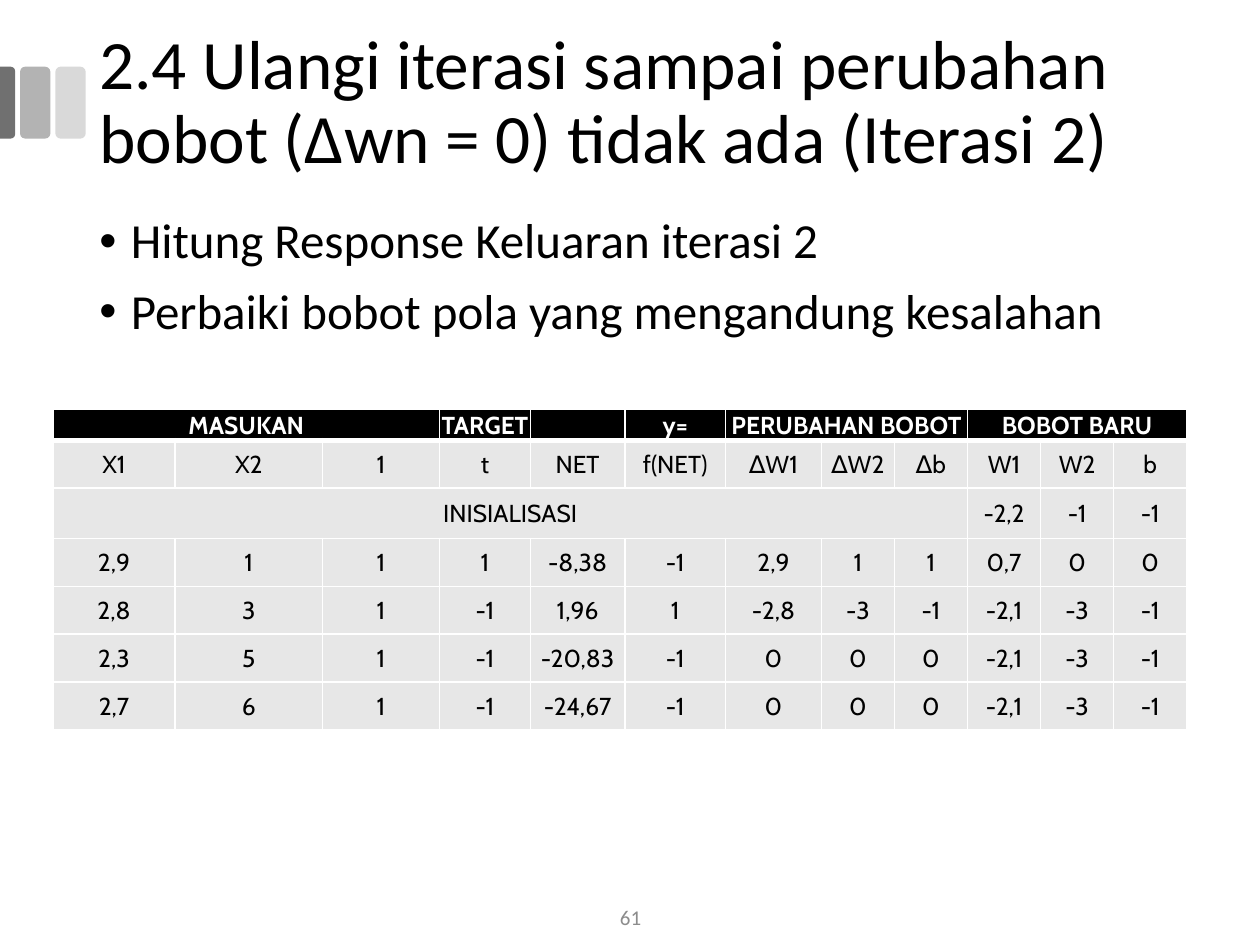
from lxml import etree
from pptx import Presentation
from pptx.dml.color import RGBColor
from pptx.enum import shapes, text
from pptx.oxml import ns
from pptx.util import Inches, Pt

BLACK, WHITE, CELL_GREY = "000000", "FFFFFF", "E7E7E7"
COLUMN_WIDTHS = [0.97, 1.17, 0.93, 0.72, 0.75, 0.8, 0.76] + [0.58] * 5
ROW_HEIGHTS = [0.24, 0.38, 0.4] + [0.38] * 4
ITERATION_ROWS = [
    ["MASUKAN", "", "", "TARGET", "", "y=", "PERUBAHAN BOBOT", "", "", "BOBOT BARU", "", ""],
    ["X1", "X2", "1", "t", "NET", "f(NET)", "∆W1", "∆W2", "∆b", "W1", "W2", "b"],
    ["INISIALISASI"] + [""] * 8 + ["-2,2", "-1", "-1"],
    ["2,9", "1", "1", "1", "-8,38", "-1", "2,9", "1", "1", "0,7", "0", "0"],
    ["2,8", "3", "1", "-1", "1,96", "1", "-2,8", "-3", "-1", "-2,1", "-3", "-1"],
    ["2,3", "5", "1", "-1", "-20,83", "-1", "0", "0", "0", "-2,1", "-3", "-1"],
    ["2,7", "6", "1", "-1", "-24,67", "-1", "0", "0", "0", "-2,1", "-3", "-1"],
]
# Row, first column, last column
MERGES = [(0, 0, 2), (0, 6, 8), (0, 9, 11), (2, 0, 8)]


def color(hex_value):
    return RGBColor.from_string(hex_value)


def add_child(parent, tag, **attributes):
    return etree.SubElement(parent, ns.qn(tag), **attributes)


def style_runs(paragraph, size, font_name, hex_value, bold=False):
    for run in paragraph.runs:
        run.font.size = Pt(size)
        run.font.name = font_name
        run.font.color.rgb = color(hex_value)
        run.font.bold = bold


def add_text(slide, box, lines, size, hex_value=BLACK,
             anchor=text.MSO_ANCHOR.MIDDLE, align=text.PP_ALIGN.LEFT, line_spacing=0.9):
    frame = slide.shapes.add_textbox(*map(Inches, box)).text_frame
    frame.word_wrap = True
    frame.vertical_anchor = anchor
    frame.text = "\n".join(lines)
    for paragraph in frame.paragraphs:
        paragraph.alignment = align
        paragraph.line_spacing = line_spacing
        style_runs(paragraph, size, "Calibri", hex_value)
    return frame


def add_side_tabs(slide, left, top, width, height):
    """Three grey tabs, the first one cut by the slide's edge."""
    edge = 0.12
    edge_box = (left + edge / 2 - height / 2, top + height / 2 - edge / 2, height, edge)
    tabs = [
        (shapes.MSO_SHAPE.ROUNDED_RECTANGLE, (left + 0.44, top, width, height), "D9D9D9"),
        (shapes.MSO_SHAPE.ROUNDED_RECTANGLE, (left + 0.16, top, width, height), "B3B3B3"),
        (shapes.MSO_SHAPE.ROUND_2_SAME_RECTANGLE, edge_box, "707070"),
    ]
    for kind, box, fill in tabs:
        tab = slide.shapes.add_shape(kind, *map(Inches, box))
        tab.shadow.inherit = False
        tab.fill.solid()
        tab.fill.fore_color.rgb = color(fill)
        tab.line.fill.background()
    tab.rotation = 90
    tab.adjustments[0] = 0.29


def add_bullets(slide, box, lines):
    frame = add_text(slide, box, lines, 28, anchor=text.MSO_ANCHOR.TOP)
    for index, paragraph in enumerate(frame.paragraphs):
        if index:
            paragraph.space_before = Pt(10)
        properties = paragraph._p.get_or_add_pPr()
        properties.set("marL", str(Inches(0.25)))
        properties.set("indent", str(-Inches(0.25)))
        add_child(properties, "a:buFont", typeface="Arial")
        add_child(properties, "a:buChar", char="•")


def set_borders(cell, bottom_width):
    properties = cell._tc.get_or_add_tcPr()
    widths = {"a:lnL": 1, "a:lnR": 1, "a:lnT": 1, "a:lnB": bottom_width}
    for position, (tag, width) in enumerate(widths.items()):
        line = add_child(properties, tag, w=str(Pt(width)))
        add_child(add_child(line, "a:solidFill"), "a:srgbClr", val=WHITE)
        properties.insert(position, line)


def fill_cell(cell, value, is_header):
    cell.margin_left = cell.margin_right = cell.margin_top = Inches(0.01)
    cell.margin_bottom = 0
    cell.vertical_anchor = text.MSO_ANCHOR.MIDDLE
    cell.fill.solid()
    cell.fill.fore_color.rgb = color(BLACK if is_header else CELL_GREY)
    set_borders(cell, 3 if is_header else 1)
    cell.text = value
    paragraph = cell.text_frame.paragraphs[0]
    paragraph.alignment = text.PP_ALIGN.CENTER
    style_runs(paragraph, 14, "Cabin", WHITE if is_header else BLACK, is_header)
    if not value:  # keeps empty cells from stretching the row
        add_child(paragraph._p, "a:endParaRPr", sz="1400")


def add_iteration_table(slide, left, top):
    box = (left, top, sum(COLUMN_WIDTHS), sum(ROW_HEIGHTS))
    table = slide.shapes.add_table(
        len(ROW_HEIGHTS), len(COLUMN_WIDTHS), *map(Inches, box)).table
    for column, width in zip(table.columns, COLUMN_WIDTHS):
        column.width = Inches(width)
    for row, height in zip(table.rows, ROW_HEIGHTS):
        row.height = Inches(height)
    for r, values in enumerate(ITERATION_ROWS):
        for c, value in enumerate(values):
            fill_cell(table.cell(r, c), value, r == 0)
    for row, first, last in MERGES:
        table.cell(row, first).merge(table.cell(row, last))


def main():
    deck = Presentation()
    deck.slide_width, deck.slide_height = Inches(10), Inches(7.5)
    slide = deck.slides.add_slide(deck.slide_layouts[6])

    add_side_tabs(slide, 0, 0.53, 0.24, 0.57)
    # Title
    add_text(slide, (0.69, 0.17, 8.62, 1.31),
             ["2.4 Ulangi iterasi sampai perubahan bobot (∆wn = 0) tidak ada (Iterasi 2)"], 39.6)
    add_bullets(slide, (0.69, 1.67, 8.62, 5.08),
                ["Hitung Response Keluaran iterasi 2",
                 "Perbaiki bobot pola yang mengandung kesalahan"])
    add_iteration_table(slide, 0.42, 3.25)
    # Slide number
    add_text(slide, (3.88, 7.08, 2.25, 0.4), ["61"], 12, "8C8C8C",
             align=text.PP_ALIGN.CENTER, line_spacing=1)
    deck.save("out.pptx")


if __name__ == "__main__":
    main()
